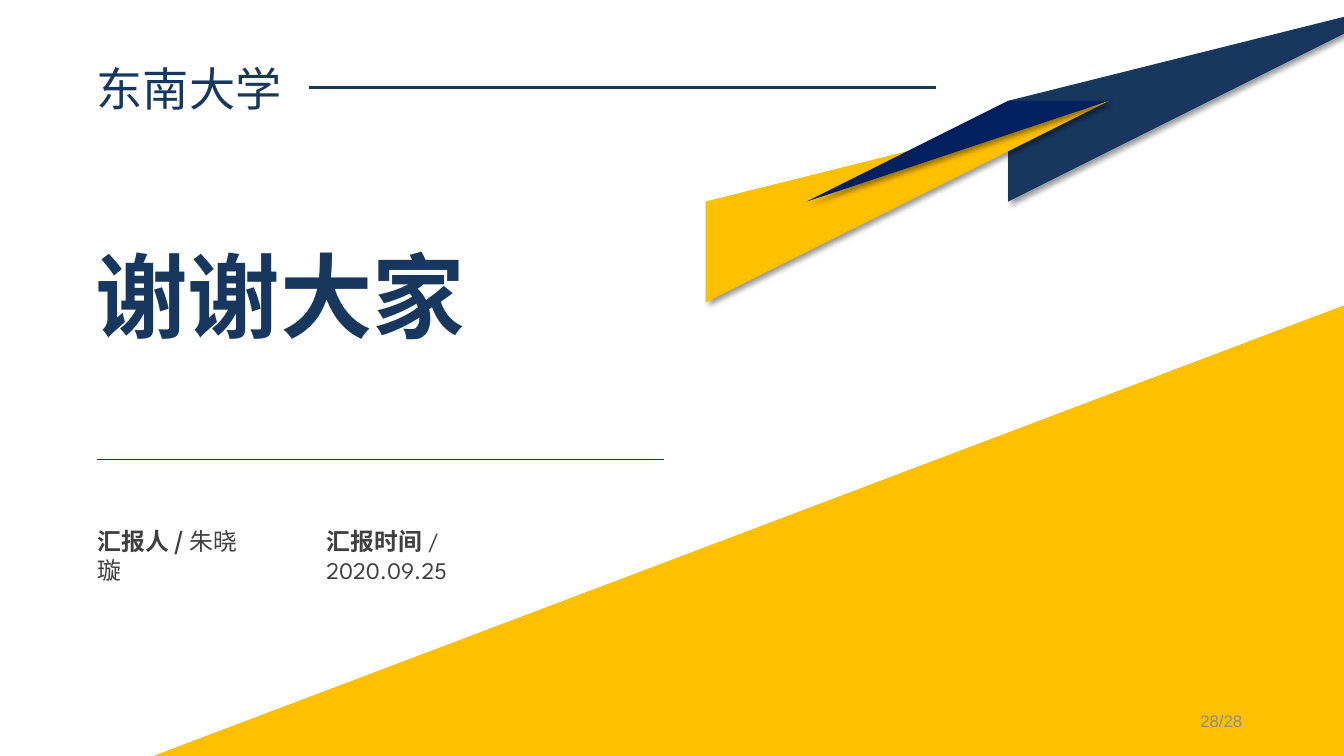
from lxml import etree
from pptx import Presentation
from pptx.dml.color import RGBColor
from pptx.enum.shapes import MSO_CONNECTOR, MSO_SHAPE
from pptx.enum.text import MSO_ANCHOR, PP_ALIGN
from pptx.oxml import parse_xml
from pptx.oxml.ns import nsdecls, qn
from pptx.util import Inches, Pt

LEFT, CENTER, RIGHT = PP_ALIGN.LEFT, PP_ALIGN.CENTER, PP_ALIGN.RIGHT
TOP, MIDDLE = MSO_ANCHOR.TOP, MSO_ANCHOR.MIDDLE
STRAIGHT, TRIANGLE = MSO_CONNECTOR.STRAIGHT, MSO_SHAPE.RIGHT_TRIANGLE
NAVY, GOLD, GREY = "17375E", "FFC000", "404040"
SPARTAN, NOTO = "League Spartan", "Noto Sans CJK SC"
SHADOW = f"""<a:effectLst {nsdecls('a')}>
  <a:outerShdw blurRad="50800" dist="38100" dir="2700000" algn="tl" rotWithShape="0">
    <a:srgbClr val="000000"><a:alpha val="40000"/></a:srgbClr>
  </a:outerShdw>
</a:effectLst>"""


def color(value):
    return RGBColor.from_string(value)


def add_text(position, spans, size, hue, align=LEFT, anchor=TOP, wrap=True):
    """Add a one-paragraph box; each span is (text, font, bold)."""
    box = page.shapes.add_textbox(*map(Inches, position))
    frame = box.text_frame
    frame.word_wrap = wrap
    frame.vertical_anchor = anchor
    para = frame.paragraphs[0]
    para.alignment = align
    for text, font, bold in spans:
        span = para.add_run()
        span.text = text
        span.font.name = font
        span.font.size = Pt(size)
        span.font.bold = bold
        span.font.color.rgb = color(hue)
        east_asian = etree.SubElement(span.font._element, qn("a:ea"))
        east_asian.set("typeface", font)


deck = Presentation()
deck.slide_width, deck.slide_height = Inches(13.33), Inches(7.5)
page = deck.slides.add_slide(deck.slide_layouts[6])

# Gold corner
corner = page.shapes.add_shape(
    TRIANGLE, Inches(1.52), Inches(3.03), Inches(11.81), Inches(4.47))
corner._element.spPr.find(qn("a:xfrm")).set("flipH", "1")
corner.shadow.inherit = False
corner.fill.solid()
corner.fill.fore_color.rgb = color(GOLD)
corner.line.fill.background()

# Slanted ribbons
ribbons = [
    (NAVY, [(14.47, -0.15), (14.12, -0.5), (9.92, 1.25), (10.27, 1.6)]),
    (GOLD, [(10.9, 1.08), (10.61, 0.79), (7.15, 2.24), (7.43, 2.52)]),
    ("002060", [(10.72, 1.31), (10.5, 1.08), (7.76, 2.23), (7.98, 2.45)]),
]
for hue, corners in ribbons:
    outline = page.shapes.build_freeform(*corners[0], scale=Inches(1))
    outline.add_line_segments(corners[1:], close=True)
    ribbon = outline.convert_to_shape()
    ribbon.fill.solid()
    ribbon.fill.fore_color.rgb = color(hue)
    ribbon.line.fill.background()
    ribbon._element.spPr.append(parse_xml(SHADOW))

# Rules
for left, right, height, weight in [(3.06, 9.28, 0.87, 2.25), (0.96, 6.59, 4.56, 0.5)]:
    rule = page.shapes.add_connector(
        STRAIGHT, Inches(left), Inches(height), Inches(right), Inches(height))
    rule.line.color.rgb = color(NAVY)
    rule.line.width = Pt(weight)
    etree.SubElement(rule._element.spPr, qn("a:effectLst"))

# Texts
add_text((0.85, 0.55, 2.05, 0.66), [("东南大学", SPARTAN, False)], 33, NAVY, CENTER, wrap=False)
add_text((0.85, 2.32, 3.9, 1.21), [("谢谢大家", SPARTAN, True)], 66, NAVY, wrap=False)
add_text((0.87, 5.18, 1.74, 0.39),
         [("汇报人 / ", NOTO, True), ("朱晓璇", NOTO, False)], 17, GREY)
add_text((3.14, 5.18, 2.44, 0.39),
         [("汇报时间", NOTO, True), (" / 2020.09.25", SPARTAN, False)], 17, GREY)
add_text((9.42, 6.95, 3, 0.4), [("28/28", "Arial", False)], 12, "8C8C8C", RIGHT, MIDDLE)

deck.save("out.pptx")
